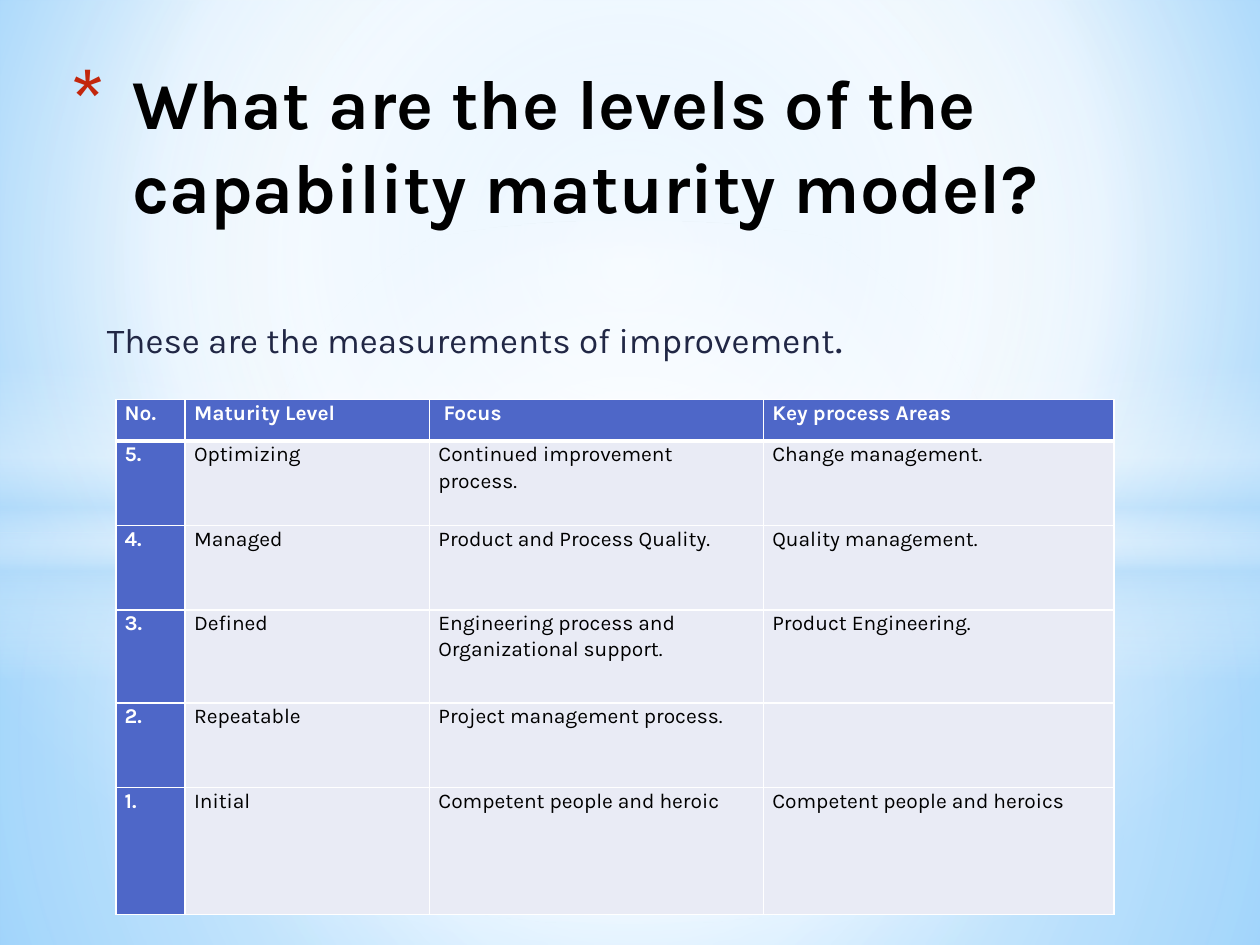
"""Build the slide on the levels of the capability maturity model."""
from pptx import Presentation
from pptx.dml.color import RGBColor as RGB
from pptx.enum.shapes import MSO_SHAPE as Shape
from pptx.enum.text import MSO_ANCHOR as Anchor, PP_ALIGN as Align
from pptx.oxml import parse_xml
from pptx.oxml.ns import nsdecls, qn
from pptx.util import Inches, Pt

COLORS = {
    "white": "FFFFFF", "black": "000000", "navy": "212745", "red": "C3260C",
    "header": "4E67C8", "cell": "E9EBF5", "mist": "B4DCFA",
    "sky": "9ED5FF", "azure": "5BB9FF",
}
CENTER = (50, 50, 50, 50)
LEVELS = [
    ("No.", "Maturity Level", " Focus", "Key process Areas"),
    ("5.", "Optimizing", "Continued improvement process.", "Change management."),
    ("4.", "Managed", "Product and Process Quality.", "Quality management."),
    ("3.", "Defined", "Engineering process and Organizational support.",
     "Product Engineering."),
    ("2.", "Repeatable", "Project management process.", ""),
    ("1.", "Initial", "Competent people and heroic", "Competent people and heroics"),
]
COLUMN_WIDTHS = (0.55, 1.94, 2.65, 2.78)
ROW_HEIGHTS = (0.33, 0.67, 0.67, 0.74, 0.67, 1.01)


class SlideBuilder:
    """Hold the style and the current slide."""

    def __init__(self, slide, font="Karla"):
        self.slide = slide
        self.font = font

    def style(self, paragraph, size, color, bold=False):
        for run in paragraph.runs:
            run.font.name = self.font
            run.font.size = Pt(size)
            run.font.bold = bold
            run.font.color.rgb = RGB.from_string(COLORS[color])

    def gradient(self, fill, stops, focus=None):
        marks = "".join(
            f'<a:gs pos="{position * 1000}"><a:srgbClr val="{COLORS[color]}">'
            f'<a:alpha val="{opacity * 1000}"/></a:srgbClr></a:gs>'
            for position, color, opacity in stops)
        direction = '<a:lin ang="5400000" scaled="0"/>'
        if focus:
            sides = " ".join(f'{side}="{share * 1000}"' for side, share in zip("ltrb", focus))
            direction = f'<a:path path="circle"><a:fillToRect {sides}/></a:path>'
        fill.solid()
        properties = fill._xPr
        properties.replace(
            properties.find(qn("a:solidFill")),
            parse_xml(f'<a:gradFill {nsdecls("a")} rotWithShape="1">'
                      f'<a:gsLst>{marks}</a:gsLst>{direction}</a:gradFill>'))

    def glow(self, kind, top, height, stops, focus=None):
        glow = self.slide.shapes.add_shape(
            kind, 0, Inches(top), Inches(10), Inches(height))
        glow.shadow.inherit = False
        glow.line.fill.background()
        self.gradient(glow.fill, stops, focus)

    def title(self, text, left, top, width, height):
        title = self.slide.shapes.title
        self.slide.shapes._spTree.append(title._element)
        title.left, title.top = Inches(left), Inches(top)
        title.width, title.height = Inches(width), Inches(height)
        frame = title.text_frame
        frame.text = text
        frame.word_wrap = True
        frame.vertical_anchor = Anchor.TOP
        heading = frame.paragraphs[0]
        heading.alignment = Align.LEFT
        self.style(heading, 40, "black", bold=True)
        properties = heading._p.get_or_add_pPr()
        properties.set("marL", str(Inches(0.7)))
        properties.set("indent", str(Inches(-0.5)))
        for bullet in (f'<a:buClr {nsdecls("a")}><a:srgbClr val="{COLORS["red"]}"/></a:buClr>',
                       f'<a:buSzPct {nsdecls("a")} val="128000"/>',
                       f'<a:buFont {nsdecls("a")} typeface="{self.font}"/>',
                       f'<a:buChar {nsdecls("a")} char="*"/>'):
            properties.append(parse_xml(bullet))

    def subtitle(self, text, ending, left, top, width, height):
        box = self.slide.shapes.add_textbox(
            Inches(left), Inches(top), Inches(width), Inches(height))
        frame = box.text_frame
        frame.word_wrap = True
        frame.text = text
        line = frame.paragraphs[0]
        line.space_before, line.space_after = Pt(4), Pt(3)
        line.add_run().text = ending
        self.style(line, 20, "navy")
        line.runs[-1].font.size = Pt(24)

    def borders(self, cell, top, bottom):
        properties = cell._tc.get_or_add_tcPr()
        edges = (("L", 1), ("R", 1), ("T", top), ("B", bottom))
        for place, (side, width) in enumerate(edges):
            properties.insert(place, parse_xml(
                f'<a:ln{side} {nsdecls("a")} w="{Pt(width)}"><a:solidFill>'
                f'<a:srgbClr val="{COLORS["white"]}"/></a:solidFill></a:ln{side}>'))

    def table(self, rows, left, top, widths, heights):
        table = self.slide.shapes.add_table(
            len(rows), len(widths), Inches(left), Inches(top),
            Inches(sum(widths)), Inches(sum(heights))).table
        for column, width in zip(table.columns, widths):
            column.width = Inches(width)
        for r, (row, height) in enumerate(zip(rows, heights)):
            table.rows[r].height = Inches(height)
            for c, text in enumerate(row):
                cell = table.cell(r, c)
                heading = r == 0 or c == 0
                cell.margin_left = cell.margin_right = Inches(0.07)
                cell.margin_top = cell.margin_bottom = 0
                cell.fill.solid()
                cell.fill.fore_color.rgb = RGB.from_string(
                    COLORS["header" if heading else "cell"])
                self.borders(cell, 3 if r == 1 else 1, 3 if r == 0 else 1)
                paragraph = cell.text_frame.paragraphs[0]
                paragraph.text = text
                paragraph.line_spacing = 1.07
                self.style(paragraph, 12, "white" if heading else "black", heading)


def main():
    deck = Presentation()
    deck.slide_width, deck.slide_height = Inches(10), Inches(7.5)
    slide = deck.slides.add_slide(deck.slide_layouts[5])
    builder = SlideBuilder(slide)
    builder.gradient(slide.background.fill,
                     [(0, "sky", 100), (60, "white", 100), (100, "azure", 100)],
                     (20, 10, 20, 60))
    builder.glow(Shape.RECTANGLE, 4.23, 3.27,
                 [(0, "white", 91), (37, "white", 76), (100, "mist", 79)], CENTER)
    builder.glow(Shape.RECTANGLE, 0, 4.23,
                 [(0, "white", 89), (48, "white", 62), (100, "mist", 79)], CENTER)
    builder.glow(Shape.RECTANGLE, 2.9, 2.5,
                 [(0, "white", 0), (29, "white", 30), (45, "mist", 40),
                  (55, "white", 26), (65, "mist", 60), (100, "white", 0)])
    builder.glow(Shape.OVAL, 1.75, 5.58, [(0, "white", 100), (54, "white", 0)], CENTER)
    builder.subtitle("These are the measurements of improvement", ".",
                     0.75, 2.42, 8.58, 0.83)
    builder.title("What are the levels of the capability maturity model?",
                  0.25, 0.42, 9.42, 1.75)
    builder.table(LEVELS, 0.92, 3.17, COLUMN_WIDTHS, ROW_HEIGHTS)
    deck.save("out.pptx")


if __name__ == "__main__":
    main()
